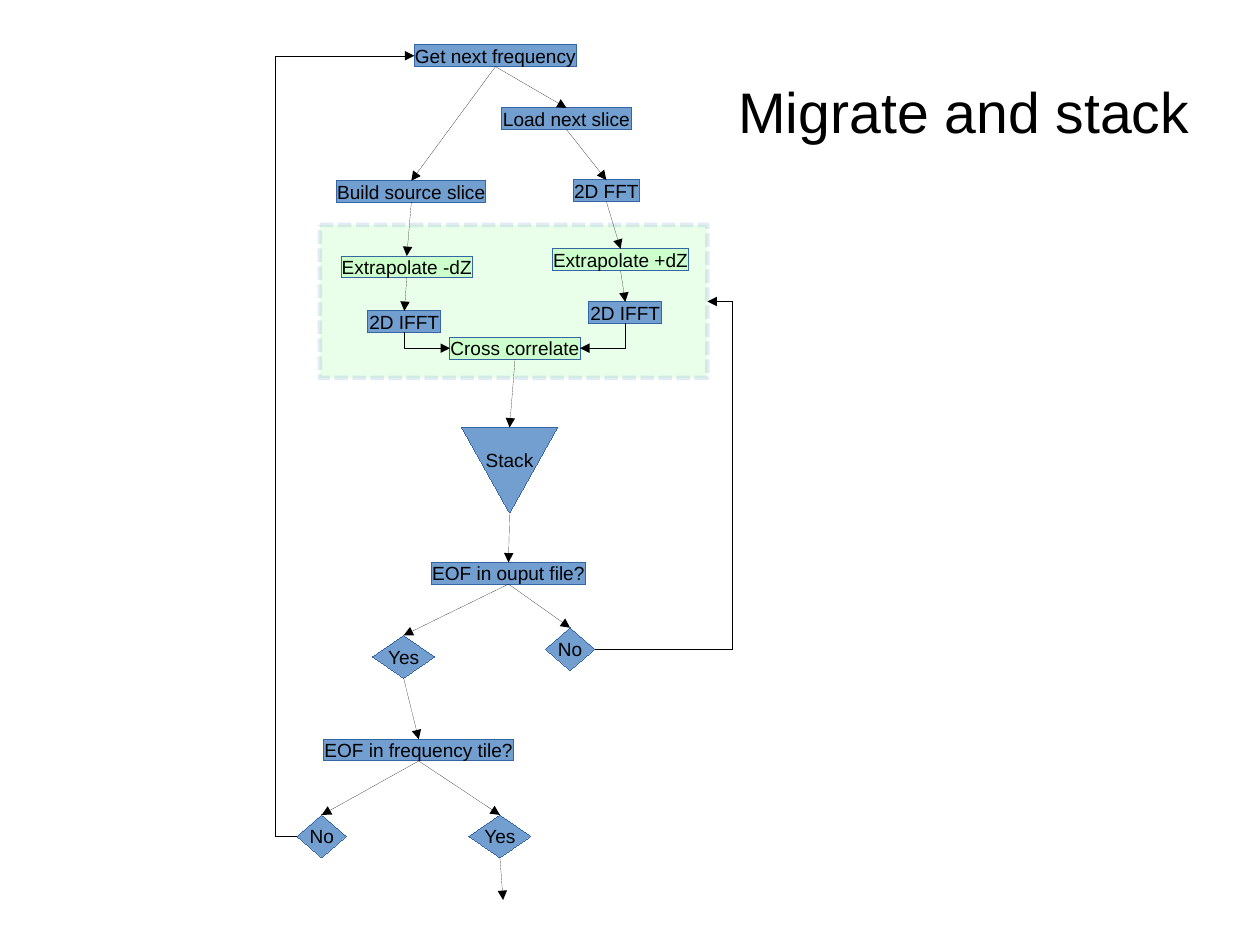
from dataclasses import dataclass

from lxml.etree import SubElement
from pptx import Presentation
from pptx.dml.color import RGBColor
from pptx.enum.dml import MSO_LINE
from pptx.enum.shapes import MSO_CONNECTOR, MSO_SHAPE
from pptx.enum.text import MSO_ANCHOR, MSO_AUTO_SIZE, PP_ALIGN
from pptx.oxml.ns import qn
from pptx.util import Cm, Pt


@dataclass(frozen=True)
class Theme:
    font: str = "Arial"
    title: Pt = Pt(36)
    body: Pt = Pt(12)
    ink: RGBColor = RGBColor(0x00, 0x00, 0x00)
    blue: RGBColor = RGBColor(0x72, 0x9F, 0xCF)
    edge: RGBColor = RGBColor(0x34, 0x65, 0xA4)
    green: RGBColor = RGBColor(0xCC, 0xFF, 0xCC)


THEME = Theme()
# Connection sites on a node
TOP, LEFT, BOTTOM, RIGHT = range(4)


def write(shape, text, size, align, drop=0):
    frame = shape.text_frame
    frame.word_wrap = False
    frame.auto_size = MSO_AUTO_SIZE.SHAPE_TO_FIT_TEXT
    frame.margin_left = frame.margin_right = frame.margin_bottom = 0
    frame.margin_top = Cm(drop)
    para = frame.paragraphs[0]
    para.alignment = align
    run = para.add_run()
    run.text = text
    run.font.name = THEME.font
    run.font.size = size
    run.font.color.rgb = THEME.ink


def draw_hair(shape, color):
    shape.line.color.rgb = color
    line = shape._element.spPr.find(qn("a:ln"))
    # An explicit zero keeps the style's thicker line away
    line.set("w", "0")
    return line


def add_node(slide, kind, text, x, y, w, h, fill=THEME.blue, drop=0):
    node = slide.shapes.add_shape(kind, Cm(x), Cm(y), Cm(w), Cm(h))
    node.shadow.inherit = False
    node.fill.solid()
    node.fill.fore_color.rgb = fill
    draw_hair(node, THEME.edge)
    if text:
        write(node, text, THEME.body, PP_ALIGN.CENTER, drop)
        node.text_frame.vertical_anchor = MSO_ANCHOR.MIDDLE
    return node


def add_step(slide, text, x, y, w, fill=THEME.blue):
    return add_node(slide, MSO_SHAPE.FLOWCHART_PROCESS, text, x, y, w, 0.48, fill)


def add_choice(slide, text, x, y):
    width = 1.38 if text == "Yes" else 1.1
    return add_node(slide, MSO_SHAPE.FLOWCHART_DECISION, text, x, y, width, 0.95)


def add_zone(slide, x, y, w, h):
    zone = add_node(slide, MSO_SHAPE.FLOWCHART_PROCESS, "", x, y, w, h, THEME.green)
    zone.line.color.rgb = THEME.blue
    zone.line.width = Pt(2.83)
    zone.line.dash_style = MSO_LINE.SQUARE_DOT
    # Fill opacity, then line opacity
    tints = zone._element.spPr.iter(qn("a:srgbClr"))
    for tint, share in zip(list(tints), (43, 20)):
        SubElement(tint, qn("a:alpha"), val=str(share * 1000))
    return zone


def add_wire(slide, kind, tip="tailEnd"):
    wire = slide.shapes.add_connector(kind, 0, 0, 0, 0)
    line = draw_hair(wire, THEME.ink)
    SubElement(line, qn("a:" + tip), type="triangle")
    SubElement(wire._element.spPr, qn("a:effectLst"))
    return wire


def add_arrow(slide, start, end):
    wire = add_wire(slide, MSO_CONNECTOR.STRAIGHT)
    wire.begin_connect(start, BOTTOM)
    wire.end_connect(end, TOP)


def add_loop(slide, start, end, side, goal, bend):
    wire = add_wire(slide, MSO_CONNECTOR.ELBOW)
    wire.begin_connect(start, side)
    wire.end_connect(end, goal)
    guides = wire._element.spPr.find(qn("a:prstGeom")).get_or_add_avLst()
    SubElement(guides, qn("a:gd"), name="adj1", fmla=f"val {round(bend * 100000)}")


def add_corner(slide, goal, side, source):
    wire = add_wire(slide, MSO_CONNECTOR.ELBOW, "headEnd")
    wire._element.spPr.find(qn("a:prstGeom")).set("prst", "bentConnector2")
    wire.begin_connect(goal, side)
    wire.end_connect(source, BOTTOM)


def add_title(slide, text, x, y, w, h):
    box = slide.shapes.add_textbox(Cm(x), Cm(y), Cm(w), Cm(h))
    write(box, text, THEME.title, PP_ALIGN.LEFT)


def main():
    deck = Presentation()
    deck.slide_width, deck.slide_height = Cm(28), Cm(21)
    slide = deck.slides.add_slide(deck.slide_layouts[6])
    add_title(slide, "Migrate and stack", 16.41, 1.7, 10.03, 1.42)

    # Prepare both wave fields
    zone = add_zone(slide, 7.11, 5, 8.61, 3.4)
    first = add_step(slide, "Get next frequency", 9.21, 1, 3.6)
    load = add_step(slide, "Load next slice", 11.14, 2.4, 2.9)
    build = add_step(slide, "Build source slice", 7.48, 4.02, 3.32)
    fft = add_step(slide, "2D FFT", 12.74, 4, 1.47)

    # Extrapolate and correlate
    down = add_step(slide, "Extrapolate -dZ", 7.58, 5.69, 2.92, THEME.green)
    up = add_step(slide, "Extrapolate +dZ", 12.28, 5.53, 3.02, THEME.green)
    left = add_step(slide, "2D IFFT", 8.17, 6.91, 1.63)
    right = add_step(slide, "2D IFFT", 13.08, 6.71, 1.63)
    cross = add_step(slide, "Cross correlate", 10, 7.5, 2.89, THEME.green)

    # Stack and test for the end
    stack = add_node(slide, MSO_SHAPE.FLOWCHART_MERGE, "Stack",
                     10.26, 9.5, 2.13, 1.9, drop=0.48)
    file = add_step(slide, "EOF in ouput file?", 9.59, 12.5, 3.42)
    done = add_choice(slide, "Yes", 8.28, 14.12)
    more = add_choice(slide, "No", 12.12, 13.95)
    tile = add_step(slide, "EOF in frequency tile?", 7.2, 16.43, 4.21)
    again = add_choice(slide, "No", 6.6, 18.11)
    last = add_choice(slide, "Yes", 10.42, 18.11)

    # Straight arrows
    for start, end in (
        (first, build), (first, load), (load, fft), (build, down), (fft, up),
        (down, left), (up, right), (cross, stack), (stack, file),
        (file, done), (file, more), (done, tile), (tile, again), (tile, last),
    ):
        add_arrow(slide, start, end)
    leave = add_wire(slide, MSO_CONNECTOR.STRAIGHT)
    leave.begin_connect(last, BOTTOM)
    leave.end_x, leave.end_y = Cm(11.18), Cm(20)

    # Bent arrows
    add_corner(slide, cross, LEFT, left)
    add_corner(slide, cross, RIGHT, right)
    add_loop(slide, again, first, LEFT, LEFT, -0.19)
    add_loop(slide, more, zone, RIGHT, RIGHT, 1.22)

    deck.save("out.pptx")


if __name__ == "__main__":
    main()
